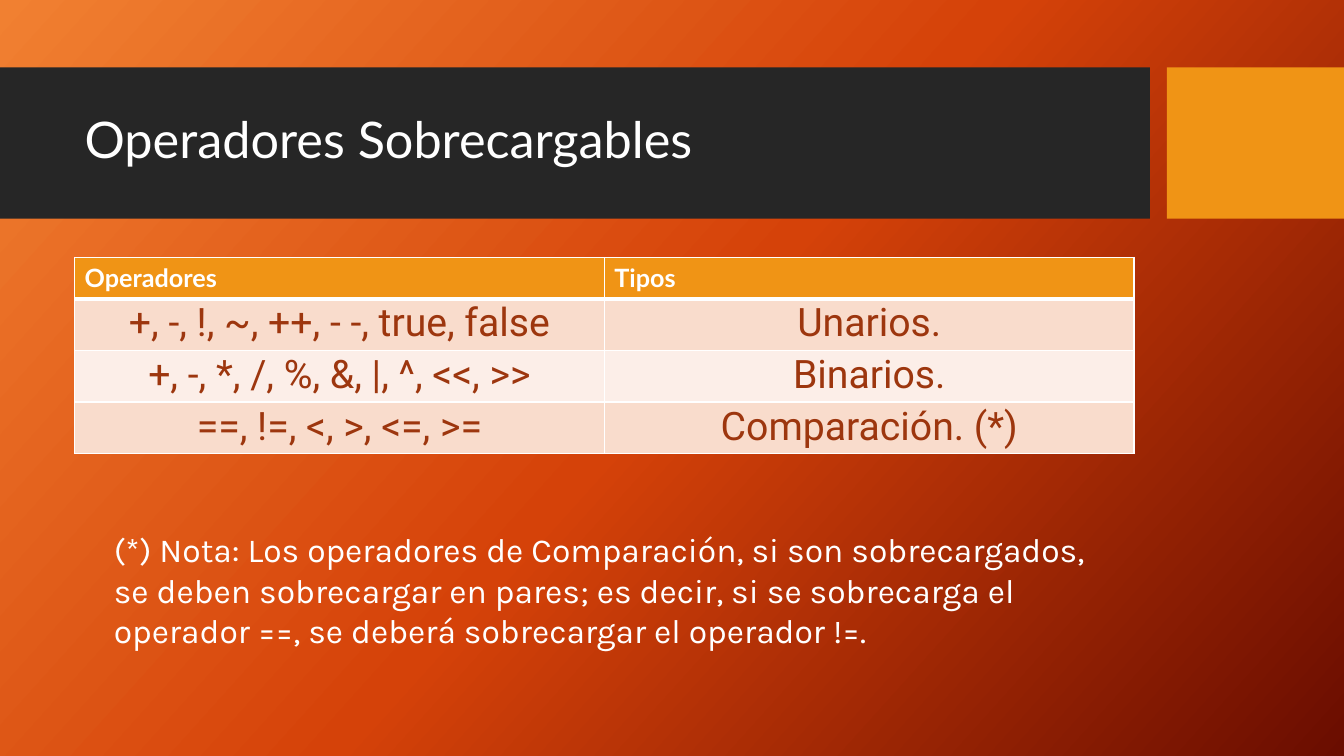
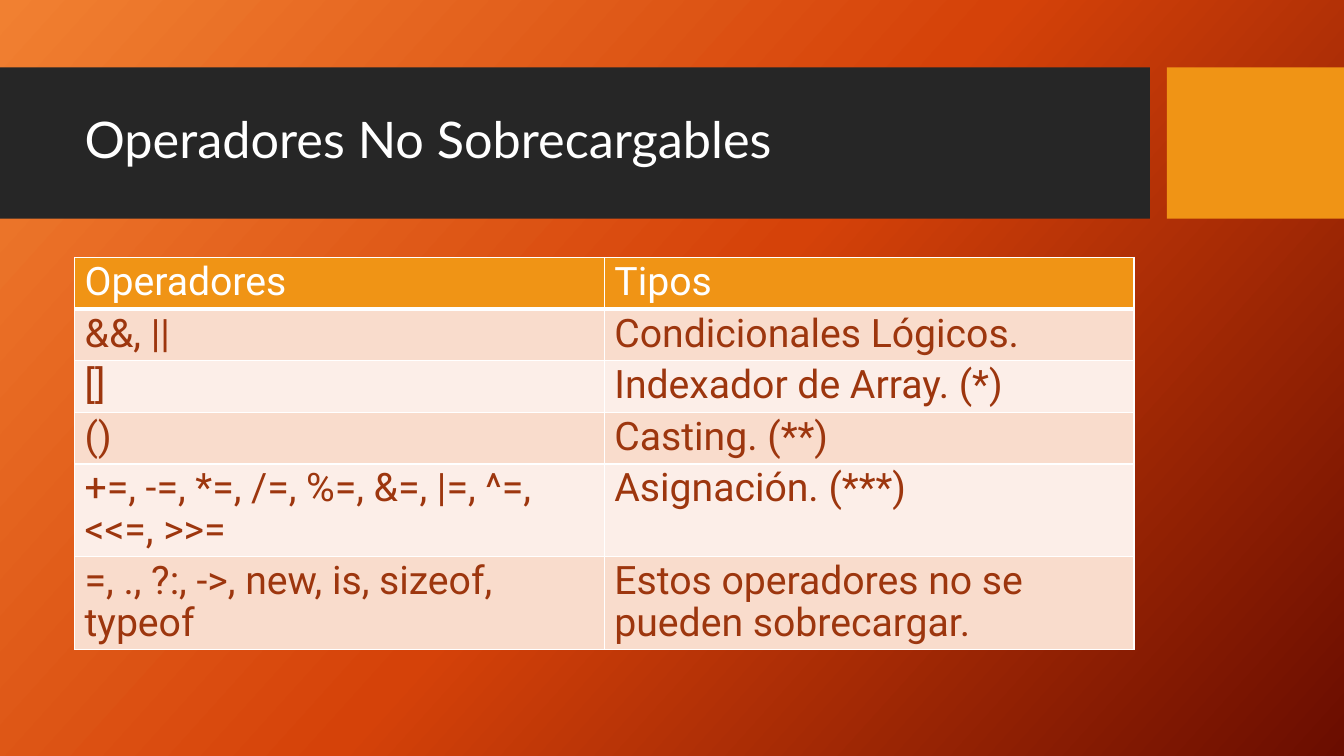
from copy import deepcopy

from pptx import Presentation
from pptx.dml.color import RGBColor
from pptx.enum.shapes import MSO_SHAPE
from pptx.enum.text import MSO_ANCHOR, MSO_AUTO_SIZE, PP_ALIGN
from pptx.oxml import parse_xml
from pptx.oxml.ns import nsdecls, qn
from pptx.util import Cm, Pt

RECTANGLE = MSO_SHAPE.RECTANGLE
MIDDLE = MSO_ANCHOR.MIDDLE
NO_AUTOFIT = MSO_AUTO_SIZE.NONE
LEFT, CENTER = PP_ALIGN.LEFT, PP_ALIGN.CENTER

WHITE = RGBColor(0xFF, 0xFF, 0xFF)
CHARCOAL = RGBColor(0x26, 0x26, 0x26)
AMBER = RGBColor(0xF0, 0x94, 0x15)
RUST = RGBColor(0x9D, 0x36, 0x0E)
ROW_TINTS = (RGBColor(0xF9, 0xDC, 0xCC), RGBColor(0xFC, 0xEE, 0xE8))
GRADIENT = (RGBColor(0xF1, 0x80, 0x31), RGBColor(0xD5, 0x42, 0x09),
            RGBColor(0x6A, 0x0D, 0x00))

TITLE_FONT, TABLE_FONT, NOTE_FONT = "Lato", "Roboto", "Karla"
PAGE_WIDTH, PAGE_HEIGHT = Cm(33.87), Cm(19.05)
BAND_TOP, BAND_HEIGHT = Cm(1.7), Cm(3.81)
BAND_WIDTH, TILE_LEFT = Cm(28.98), Cm(29.41)
TITLE_BOX = (Cm(1.88), Cm(2.08), Cm(26.7), Cm(3))
TABLE_BOX = (Cm(1.88), Cm(6.49), Cm(26.7))
NOTE_BOX = (Cm(2.62), Cm(13.21), Cm(25.98), Cm(3.33))
SMALL_ROW, ONE_LINE, TWO_LINES = Cm(1.04), Cm(1.3), Cm(2.34)
THIN, THICK = Pt(1), Pt(3)


def style_paragraph(para, font, size, color, bold=False, align=LEFT, spacing=None):
    para.font.name = font
    para.font.size = Pt(size)
    para.font.color.rgb = color
    para.font.bold = bold
    para.alignment = align
    if spacing:
        para.line_spacing = spacing


def set_background(master):
    fill = master.background.fill
    fill.gradient()
    fill.gradient_angle = 360 - 42
    stop_list = master.element.find(".//" + qn("a:gsLst"))
    stop_list.insert(1, deepcopy(stop_list[0]))
    for index, (stop, color) in enumerate(zip(fill.gradient_stops, GRADIENT)):
        stop.position = index / (len(GRADIENT) - 1)
        stop.color.rgb = color


def add_bands(layout, page):
    """Draw the title band and the corner tile, then move them to the layout."""
    bands = ((0, BAND_WIDTH, CHARCOAL),
             (TILE_LEFT, PAGE_WIDTH - TILE_LEFT, AMBER))
    for index, (left, width, color) in enumerate(bands):
        band = page.shapes.add_shape(RECTANGLE, left, BAND_TOP, width, BAND_HEIGHT)
        band.shadow.inherit = False
        band.fill.solid()
        band.fill.fore_color.rgb = color
        band.line.fill.background()
        band.element.nvSpPr.cNvPr.id = 100 + index
        layout.shapes.element.insert(2 + index, band.element)


def set_title(page, box, text):
    title = page.shapes.title
    title.left, title.top, title.width, title.height = box
    frame = title.text_frame
    frame.text = text
    frame.auto_size = NO_AUTOFIT
    frame.vertical_anchor = MIDDLE
    style_paragraph(frame.paragraphs[0], TITLE_FONT, 36, WHITE, spacing=0.9)


def set_borders(cell, top, bottom):
    properties = cell._tc.get_or_add_tcPr()
    sides = (("lnL", THIN), ("lnR", THIN), ("lnT", top), ("lnB", bottom))
    for index, (side, width) in enumerate(sides):
        properties.insert(index, parse_xml(
            f'<a:{side} {nsdecls("a")} w="{width}"><a:solidFill>'
            f'<a:srgbClr val="{WHITE}"/></a:solidFill></a:{side}>'))


def add_operator_table(page, box, rows, heights, header_style, body_align):
    left, top, width = box
    table = page.shapes.add_table(
        len(rows), len(rows[0]), left, top, width, sum(heights)).table
    for row_index, (texts, height) in enumerate(zip(rows, heights)):
        table.rows[row_index].height = height
        is_header = row_index == 0
        for column_index, text in enumerate(texts):
            cell = table.cell(row_index, column_index)
            cell.text = text
            para = cell.text_frame.paragraphs[0]
            if is_header:
                style_paragraph(para, **header_style)
            else:
                style_paragraph(para, TABLE_FONT, 28, RUST,
                                align=body_align, spacing=0.9)
            cell.fill.solid()
            cell.fill.fore_color.rgb = (
                AMBER if is_header else ROW_TINTS[(row_index - 1) % 2])
            set_borders(cell, THICK if row_index == 1 else THIN,
                        THICK if is_header else THIN)


def add_note(page, box, text):
    frame = page.shapes.add_textbox(*box).text_frame
    frame.word_wrap = True
    frame.text = text
    style_paragraph(frame.paragraphs[0], NOTE_FONT, 24, WHITE)


# Deck and shared look
deck = Presentation()
deck.slide_width, deck.slide_height = PAGE_WIDTH, PAGE_HEIGHT
title_only = deck.slide_layouts[5]
set_background(deck.slide_master)

# Overloadable operators
page = deck.slides.add_slide(title_only)
add_bands(title_only, page)
set_title(page, TITLE_BOX, "Operadores Sobrecargables")
add_operator_table(
    page, TABLE_BOX,
    [("Operadores", "Tipos"),
     ("+, -, !, ~, ++, - -, true, false", "Unarios."),
     ("+, -, *, /, %, &, |, ^, <<, >>", "Binarios."),
     ("==, !=, <, >, <=, >=", "Comparación. (*)")],
    [SMALL_ROW] + [ONE_LINE] * 3,
    {"font": TITLE_FONT, "size": 18, "color": WHITE, "bold": True}, CENTER)
add_note(page, NOTE_BOX,
         "(*) Nota: Los operadores de Comparación, si son sobrecargados, "
         "se deben sobrecargar en pares; es decir, si se sobrecarga el "
         "operador ==, se deberá sobrecargar el operador !=.")

# Operators that cannot be overloaded
page = deck.slides.add_slide(title_only)
set_title(page, TITLE_BOX, "Operadores No Sobrecargables")
add_operator_table(
    page, TABLE_BOX,
    [("Operadores", "Tipos"),
     ("&&, ||", "Condicionales Lógicos."),
     ("[]", "Indexador de Array. (*)"),
     ("()", "Casting. (**)"),
     ("+=, -=, *=, /=, %=, &=, |=, ^=, <<=, >>=", "Asignación. (***)"),
     ("=, ., ?:, ->, new, is, sizeof, typeof",
      "Estos operadores no se pueden sobrecargar.")],
    [ONE_LINE] * 4 + [TWO_LINES] * 2,
    {"font": TABLE_FONT, "size": 28, "color": WHITE, "spacing": 0.9}, LEFT)

deck.save("out.pptx")
